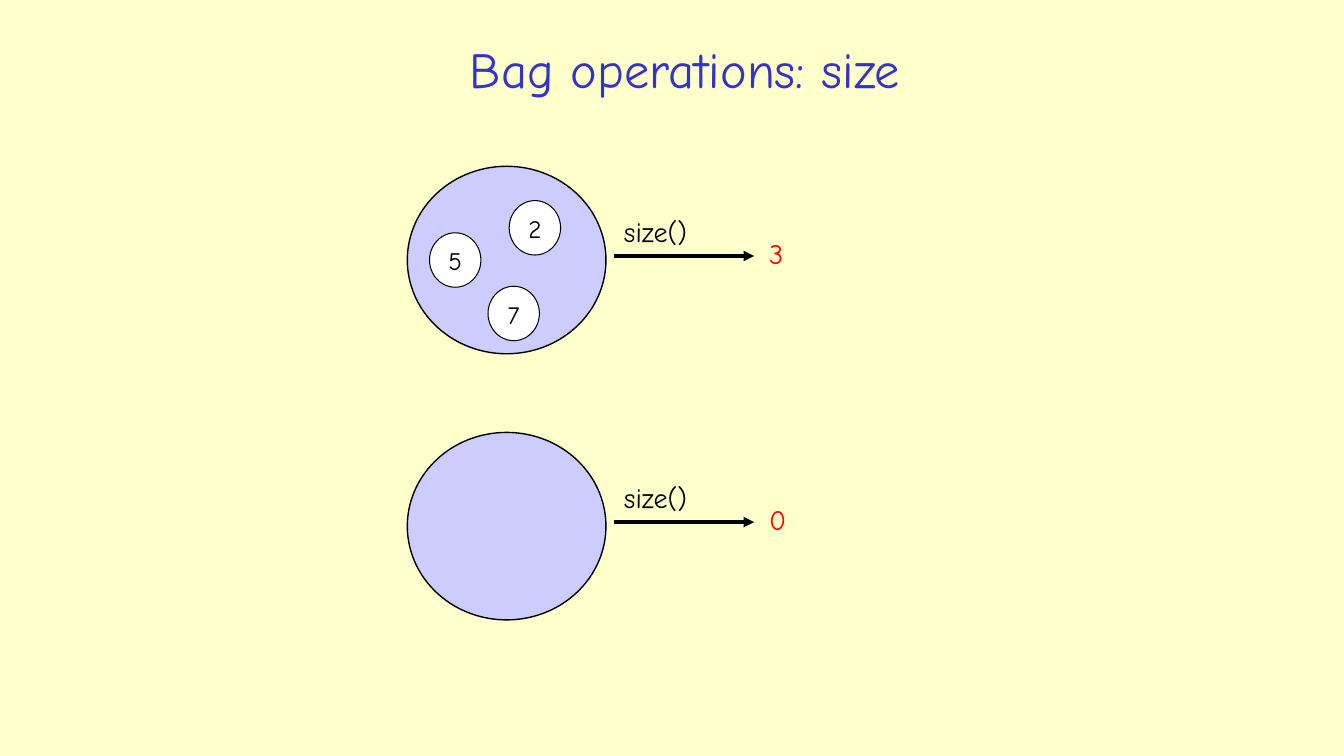
from dataclasses import dataclass

from lxml import etree
from pptx import Presentation
from pptx import util as u
from pptx.dml.color import RGBColor
from pptx.enum import shapes, text
from pptx.oxml import ns

COLUMNS, ROWS = 1333, 750
CELL = u.Inches(0.01)


@dataclass(frozen=True)
class Theme:
    font: str = "Comic Neue"
    paper: str = "FFFFCC"
    title: str = "3333CC"
    bag: str = "CCCCFF"
    item: str = "FFFFFF"
    ink: str = "000000"
    result: str = "FF0000"
    title_size: int = 36
    label_size: int = 20
    item_size: int = 18
    bag_line: float = 1
    item_line: float = 0.75
    arrow_line: float = 2.5


THEME = Theme()


def color(value):
    return RGBColor.from_string(value)


def cells(*lengths):
    return [CELL * length for length in lengths]


def write(frame, words, size, shade, align=text.PP_ALIGN.LEFT):
    frame.word_wrap = True
    para = frame.paragraphs[0]
    para.alignment = align
    span = para.add_run()
    span.text = words
    formats = {"name": THEME.font, "size": u.Pt(size), "bold": False}
    for name, value in formats.items():
        setattr(span.font, name, value)
    span.font.color.rgb = color(shade)


def add_title(page, words, left, top, width, height):
    title = page.shapes.title
    place = zip(("left", "top", "width", "height"), cells(left, top, width, height))
    for name, value in place:
        setattr(title, name, value)
    title.text_frame.vertical_anchor = text.MSO_ANCHOR.MIDDLE
    write(title.text_frame, words, THEME.title_size, THEME.title, text.PP_ALIGN.CENTER)


def add_circle(page, left, top, width, height, fill, line):
    circle = page.shapes.add_shape(
        shapes.MSO_SHAPE.OVAL, *cells(left, top, width, height))
    circle.shadow.inherit = False
    circle.fill.solid()
    circle.fill.fore_color.rgb = color(fill)
    circle.line.color.rgb = color(THEME.ink)
    circle.line.width = u.Pt(line)
    return circle


def add_arrow(page, left, top, width):
    arrow = page.shapes.add_connector(
        shapes.MSO_CONNECTOR.STRAIGHT, *cells(left, top, left + width, top))
    arrow.line.color.rgb = color(THEME.ink)
    arrow.line.width = u.Pt(THEME.arrow_line)
    properties = arrow.line._get_or_add_ln()
    etree.SubElement(properties, ns.qn("a:tailEnd"), type="triangle")
    etree.SubElement(arrow._element.spPr, ns.qn("a:effectLst"))


def add_label(page, words, left, top, width, shade):
    label = page.shapes.add_textbox(*cells(left, top, width, 44))
    write(label.text_frame, words, THEME.label_size, shade)
    label.text_frame.auto_size = text.MSO_AUTO_SIZE.SHAPE_TO_FIT_TEXT


def add_bag(page, left, top, items, result):
    add_circle(page, left, top, 197, 186, THEME.bag, THEME.bag_line)
    for words, column, row in items:
        item = add_circle(page, left + column, top + row, 51, 54,
                          THEME.item, THEME.item_line)
        item.text_frame.vertical_anchor = text.MSO_ANCHOR.TOP
        write(item.text_frame, words, THEME.item_size, THEME.ink,
              text.PP_ALIGN.CENTER)
    add_arrow(page, left + 205, top + 89, 139)
    add_label(page, "size()", left + 205, top + 43, 175, THEME.ink)
    add_label(page, result, left + 349, top + 65, 86, THEME.result)


def main():
    deck = Presentation()
    deck.slide_width, deck.slide_height = cells(COLUMNS, ROWS)
    page = deck.slides.add_slide(deck.slide_layouts[5])
    page.background.fill.solid()
    page.background.fill.fore_color.rgb = color(THEME.paper)
    add_title(page, "Bag operations: size", 112, 26, 1135, 84)
    bags = [
        ([("5", 22, 66), ("7", 80, 119), ("2", 101, 34)], "3"),
        ([], "0"),
    ]
    for index, (items, result) in enumerate(bags):
        add_bag(page, 404, 165 + 264 * index, items, result)
    deck.save("out.pptx")


if __name__ == "__main__":
    main()
